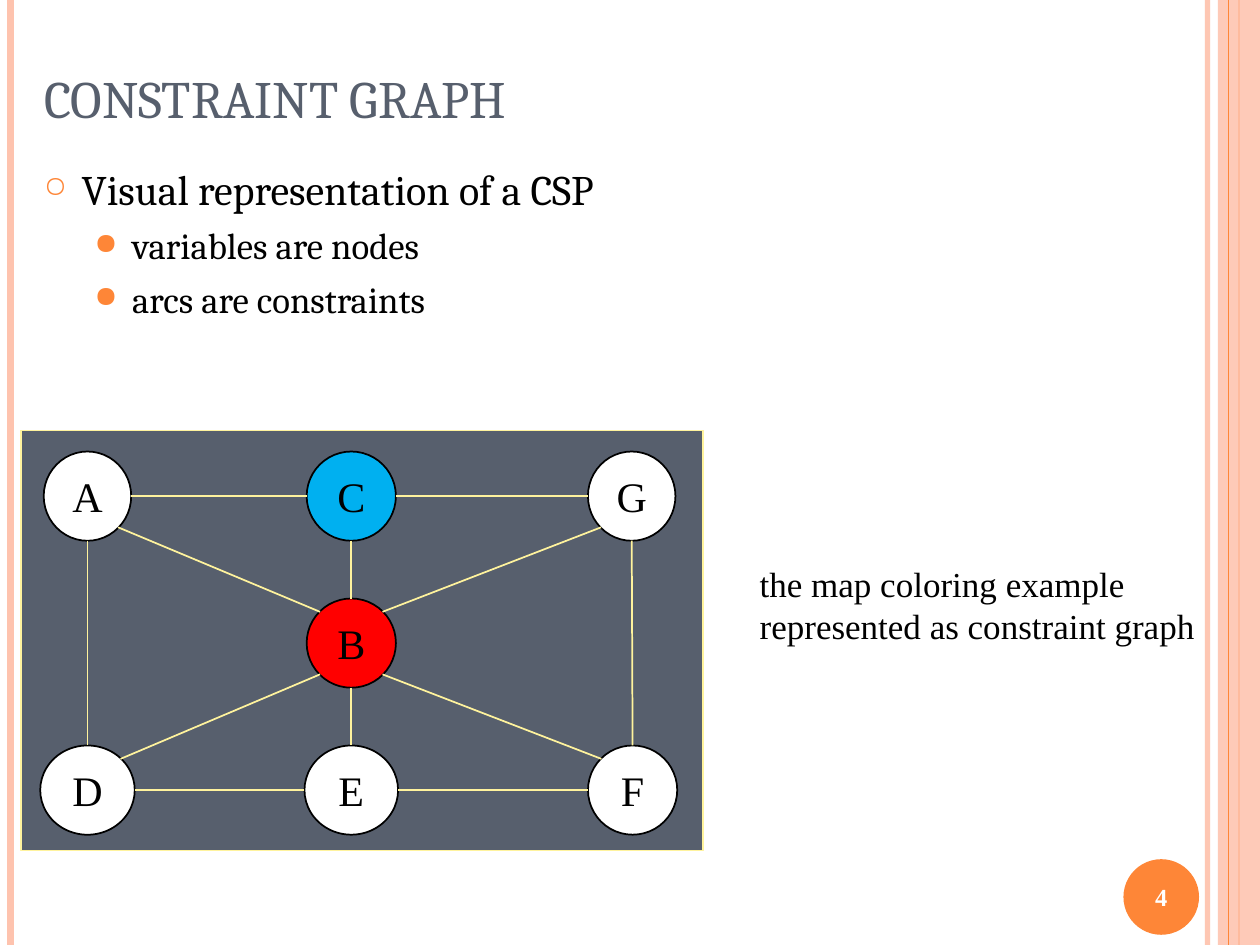
from lxml.etree import SubElement
from pptx import Presentation
from pptx.dml.color import RGBColor
from pptx.enum.shapes import MSO_CONNECTOR as Connector, MSO_SHAPE as Shape
from pptx.enum.text import MSO_ANCHOR as Anchor, MSO_AUTO_SIZE as AutoSize, PP_ALIGN as Align
from pptx.oxml.ns import qn
from pptx.util import Pt

BLACK = RGBColor(0x00, 0x00, 0x00)
WHITE = RGBColor(0xFF, 0xFF, 0xFF)
SLATE = RGBColor(0x57, 0x5F, 0x6D)
ORANGE = RGBColor(0xFE, 0x86, 0x37)
PEACH = RGBColor(0xFE, 0xC3, 0xAE)
YELLOW = RGBColor(0xFF, 0xF3, 0x9D)
BLUE = RGBColor(0x00, 0xB0, 0xF0)
RED = RGBColor(0xFF, 0x00, 0x00)

HEADING_FONT = "Cambria"
LABEL_FONT = "Times New Roman"
WIDTH, HEIGHT = 720, 540
ROWS = (258, 342, 426)
NODE_HEIGHT = 51
DIAGONAL = 0.35

NODES = {
    "G": (361, ROWS[0], 50, WHITE),
    "F": (361.5, ROWS[2], 51, WHITE),
    "E": (200.75, ROWS[2], 53.5, WHITE),
    "D": (50, ROWS[2], 54, WHITE),
    "C": (200.75, ROWS[0], 51, BLUE),
    "B": (200.75, ROWS[1], 51, RED),
    "A": (50, ROWS[0], 50, WHITE),
}
ARCS = ("AC", "AB", "AD", "CB", "BG", "BF", "BE", "BD", "CG", "ED", "EF", "GF")
BULLETS = (
    ("Visual representation of a CSP", 0, "○", 70, 24, 21.6, 6),
    ("variables are nodes", 1, "●", 80, 21, 50.4, 5.2),
    ("arcs are constraints", 1, "●", 80, 21, 50.4, 5.2),
)


def sign(value):
    return (value > 1) - (value < -1)


def node_edge(name, other):
    center, top, width, _ = NODES[name]
    across = sign(NODES[other][0] - center)
    down = sign(NODES[other][1] - top)
    reach = DIAGONAL if across and down else 0.5
    return center + across * reach * width, top + (0.5 + down * reach) * NODE_HEIGHT


class SlideBuilder:
    def __init__(self, presentation):
        self.slide = presentation.slides.add_slide(presentation.slide_layouts[5])

    def style_font(self, paragraph, name, size, color, bold=False):
        for run in paragraph.runs:
            run.font.name = name
            run.font.size = Pt(size)
            run.font.color.rgb = color
            run.font.bold = bold

    def set_alpha(self, fill_parent, percent):
        color = fill_parent.find(qn("a:solidFill"))[0]
        SubElement(color, qn("a:alpha"), val=str(percent * 1000))

    def title(self, text, left, top, width, height):
        shape = self.slide.shapes.title
        shape.left, shape.top, shape.width, shape.height = map(Pt, (left, top, width, height))
        frame = shape.text_frame
        frame.text = text
        frame.auto_size = AutoSize.NONE
        frame.vertical_anchor = Anchor.BOTTOM
        frame.paragraphs[0].alignment = Align.LEFT
        self.style_font(frame.paragraphs[0], HEADING_FONT, 30, SLATE)

    def shape(self, kind, left, top, width, height, fill, line=None, alpha=None):
        shape = self.slide.shapes.add_shape(kind, *map(Pt, (left, top, width, height)))
        shape.shadow.inherit = False
        shape.fill.solid()
        shape.fill.fore_color.rgb = fill
        if alpha:
            self.set_alpha(shape._element.spPr, alpha)
        if line is None:
            shape.line.fill.background()
        else:
            shape.line.color.rgb = line
            shape.line.width = Pt(1)
        return shape

    def circle(self, text, left, top, width, height, fill, line=None,
               size=24, color=BLACK, bold=False, anchor=Anchor.TOP):
        shape = self.shape(Shape.OVAL, left, top, width, height, fill, line)
        frame = shape.text_frame
        frame.text = text
        frame.vertical_anchor = anchor
        frame.paragraphs[0].alignment = Align.CENTER
        self.style_font(frame.paragraphs[0], LABEL_FONT, size, color, bold)

    def line(self, start, end, color, width=1, alpha=None):
        connector = self.slide.shapes.add_connector(
            Connector.STRAIGHT, *map(Pt, (*start, *end)))
        connector.line.color.rgb = color
        connector.line.width = Pt(width)
        properties = connector._element.spPr
        if alpha:
            self.set_alpha(properties.find(qn("a:ln")), alpha)
        SubElement(properties, qn("a:effectLst"))

    def text_box(self, lines, left, top, width, height, font, size, wrap=True):
        box = self.slide.shapes.add_textbox(*map(Pt, (left, top, width, height)))
        frame = box.text_frame
        frame.word_wrap = wrap
        frame.text = "\n".join(lines)
        for paragraph in frame.paragraphs:
            self.style_font(paragraph, font, size, BLACK)
        return frame

    def bullet_list(self, items, left, top, width, height):
        frame = self.text_box([item[0] for item in items], left, top, width, height,
                              HEADING_FONT, 24)
        for index, (paragraph, item) in enumerate(zip(frame.paragraphs, items)):
            _, level, symbol, percent, size, indent, space = item
            paragraph.level = level
            if index:
                paragraph.space_before = Pt(space)
            properties = paragraph._p.get_or_add_pPr()
            properties.set("marL", str(Pt(indent)))
            properties.set("indent", str(Pt(-21.6)))
            color = SubElement(properties, qn("a:buClr"))
            SubElement(color, qn("a:srgbClr"), val=str(ORANGE))
            SubElement(properties, qn("a:buSzPct"), val=str(percent * 1000))
            SubElement(properties, qn("a:buChar"), char=symbol)
            self.style_font(paragraph, HEADING_FONT, size, BLACK)


def main():
    presentation = Presentation()
    presentation.slide_width, presentation.slide_height = Pt(WIDTH), Pt(HEIGHT)
    builder = SlideBuilder(presentation)

    for x, color, width, alpha in ((690, PEACH, 3, 93), (6, PEACH, 4.5, None),
                                   (708, ORANGE, 1.5, None)):
        builder.line((x, 0), (x, HEIGHT), color, width, alpha)
    builder.shape(Shape.RECTANGLE, 696, 0, 24, HEIGHT, PEACH, alpha=87)
    builder.line((702, 0), (702, HEIGHT), ORANGE, 0.75)
    builder.circle("4", 642, 491, 43.2, 43.2, ORANGE,
                   size=14, color=WHITE, bold=True, anchor=Anchor.MIDDLE)

    builder.title("CONSTRAINT GRAPH", 18, 21.6, 636, 56)
    builder.bullet_list(BULLETS, 18, 90, 636, 438)

    builder.shape(Shape.RECTANGLE, 12, 246, 390, 240, SLATE, YELLOW)
    for name, (center, top, width, fill) in NODES.items():
        builder.circle(name, center - width / 2, top, width, NODE_HEIGHT, fill, BLACK)
    for first, second in ARCS:
        builder.line(node_edge(first, second), node_edge(second, first), YELLOW)

    builder.text_box(("the map coloring example", "represented as constraint graph"),
                     427, 318, 263, 55.5, LABEL_FONT, 20, wrap=False)
    presentation.save("out.pptx")


if __name__ == "__main__":
    main()
